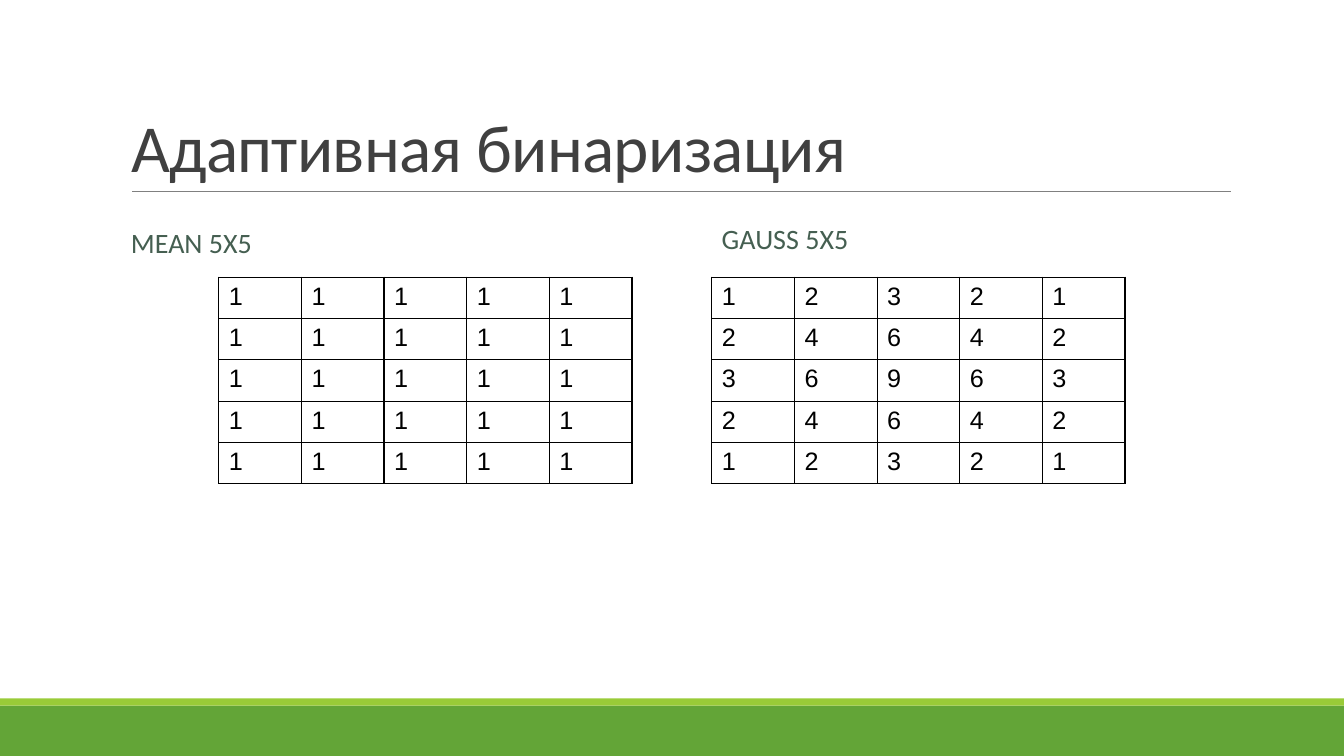
"""Build the slide that compares two adaptive thresholding kernels."""
from dataclasses import dataclass

from lxml import etree
from pptx import Presentation
from pptx.dml.color import RGBColor
from pptx.enum.shapes import MSO_CONNECTOR, MSO_SHAPE
from pptx.enum.text import MSO_ANCHOR, MSO_AUTO_SIZE, PP_ALIGN
from pptx.oxml.ns import qn
from pptx.slide import Slide
from pptx.text.text import TextFrame
from pptx.util import Emu, Pt

RECT = MSO_SHAPE.RECTANGLE
LINE = MSO_CONNECTOR.STRAIGHT
LEFT = PP_ALIGN.LEFT
MIDDLE = MSO_ANCHOR.MIDDLE
BOTTOM = MSO_ANCHOR.BOTTOM
NO_FIT = MSO_AUTO_SIZE.NONE

SCALE = 9144
WIDE, HIGH = 1333, 750
CELL_W, CELL_H = 82, 41
GRID_TOP = 275
HEX = {
    "green": "63A537",
    "lime": "99CB38",
    "rule": "808080",
    "title": "404040",
    "label": "455F51",
    "black": "000000",
}


@dataclass
class Box:
    """A place on the slide in px."""
    left: int
    top: int
    width: int
    height: int

    def emu(self) -> tuple[Emu, Emu, Emu, Emu]:
        """Give the place in EMU."""
        return px(self.left), px(self.top), px(self.width), px(self.height)


@dataclass
class Band:
    """A coloured band in the footer."""
    box: Box
    color: str


@dataclass
class Kernel:
    """A labelled square kernel, the outer product of its weights."""
    name: str
    label: Box
    left: int
    weights: list[int]


BANDS = [
    Band(Box(0, 700, WIDE, 50), "green"),
    Band(Box(0, 693, WIDE, 7), "lime"),
]
KERNELS = [
    Kernel("MEAN 5X5", Box(120, 202, 540, 81), 217, [1, 1, 1, 1, 1]),
    Kernel("GAUSS 5X5", Box(706, 202, 442, 72), 706, [1, 2, 3, 2, 1]),
]


def px(size: int) -> Emu:
    """Turn px into EMU."""
    return Emu(size * SCALE)


def rgb(name: str) -> RGBColor:
    """Look up a colour by name."""
    return RGBColor.from_string(HEX[name])


def write(frame: TextFrame, text: str, size: int, face: str, color: str) -> None:
    """Set the text of a frame and format its run."""
    frame.text = text
    font = frame.paragraphs[0].runs[0].font
    font.size, font.name = Pt(size), face
    font.color.rgb = rgb(color)


def add_band(slide: Slide, band: Band) -> None:
    """Draw a footer band."""
    shape = slide.shapes.add_shape(RECT, *band.box.emu())
    shape.shadow.inherit = False
    shape.fill.solid()
    shape.fill.fore_color.rgb = rgb(band.color)
    shape.line.fill.background()


def add_rule(slide: Slide) -> None:
    """Draw the thin line under the title."""
    rule = slide.shapes.add_connector(LINE, px(131), px(190), px(1221), px(190))
    rule.line.color.rgb = rgb("rule")
    rule.line.width = Pt(0.5)
    etree.SubElement(rule.line._get_or_add_ln().getparent(), qn("a:effectLst"))


def set_title(slide: Slide, text: str) -> None:
    """Place and format the title."""
    title = slide.shapes.title
    title.left, title.top, title.width, title.height = Box(120, 31, 1100, 159).emu()
    frame = title.text_frame
    write(frame, text, 48, "Calibri", "title")
    frame.auto_size = NO_FIT
    frame.vertical_anchor = BOTTOM
    line = frame.paragraphs[0]
    line.alignment = LEFT
    line.line_spacing = 0.85
    line.runs[0].font._element.set("spc", "-50")


def add_label(slide: Slide, text: str, box: Box) -> None:
    """Write the name of a kernel."""
    frame = slide.shapes.add_textbox(*box.emu()).text_frame
    write(frame, text, 20, "Calibri", "label")
    frame.word_wrap = True
    frame.vertical_anchor = MIDDLE
    line = frame.paragraphs[0]
    line.line_spacing = 0.9
    line.space_before, line.space_after = Pt(12), Pt(2)


def add_edges(props: etree._Element) -> None:
    """Give a cell a black border on each side."""
    for side in ("a:lnL", "a:lnR", "a:lnT", "a:lnB"):
        edge = etree.SubElement(props, qn(side), w=str(Pt(1)))
        fill = etree.SubElement(edge, qn("a:solidFill"))
        etree.SubElement(fill, qn("a:srgbClr"), val=HEX["black"])


def add_grid(slide: Slide, left: int, weights: list[int]) -> None:
    """Draw a kernel as a table."""
    count = len(weights)
    box = Box(left, GRID_TOP, count * CELL_W, count * CELL_H)
    table = slide.shapes.add_table(count, count, *box.emu()).table
    table.first_row = table.horz_banding = False
    for row, down in enumerate(weights):
        for col, across in enumerate(weights):
            cell = table.cell(row, col)
            write(cell.text_frame, str(down * across), 18, "Arial", "black")
            add_edges(cell._tc.get_or_add_tcPr())
            cell.fill.background()


def main() -> None:
    """Build and save the deck."""
    deck = Presentation()
    deck.slide_width, deck.slide_height = px(WIDE), px(HIGH)
    slide = deck.slides.add_slide(deck.slide_layouts.get_by_name("Title Only"))
    for band in BANDS:
        add_band(slide, band)
    add_rule(slide)
    set_title(slide, "Адаптивная бинаризация")
    for kernel in KERNELS:
        add_label(slide, kernel.name, kernel.label)
        add_grid(slide, kernel.left, kernel.weights)
    deck.save("out.pptx")


if __name__ == "__main__":
    main()
